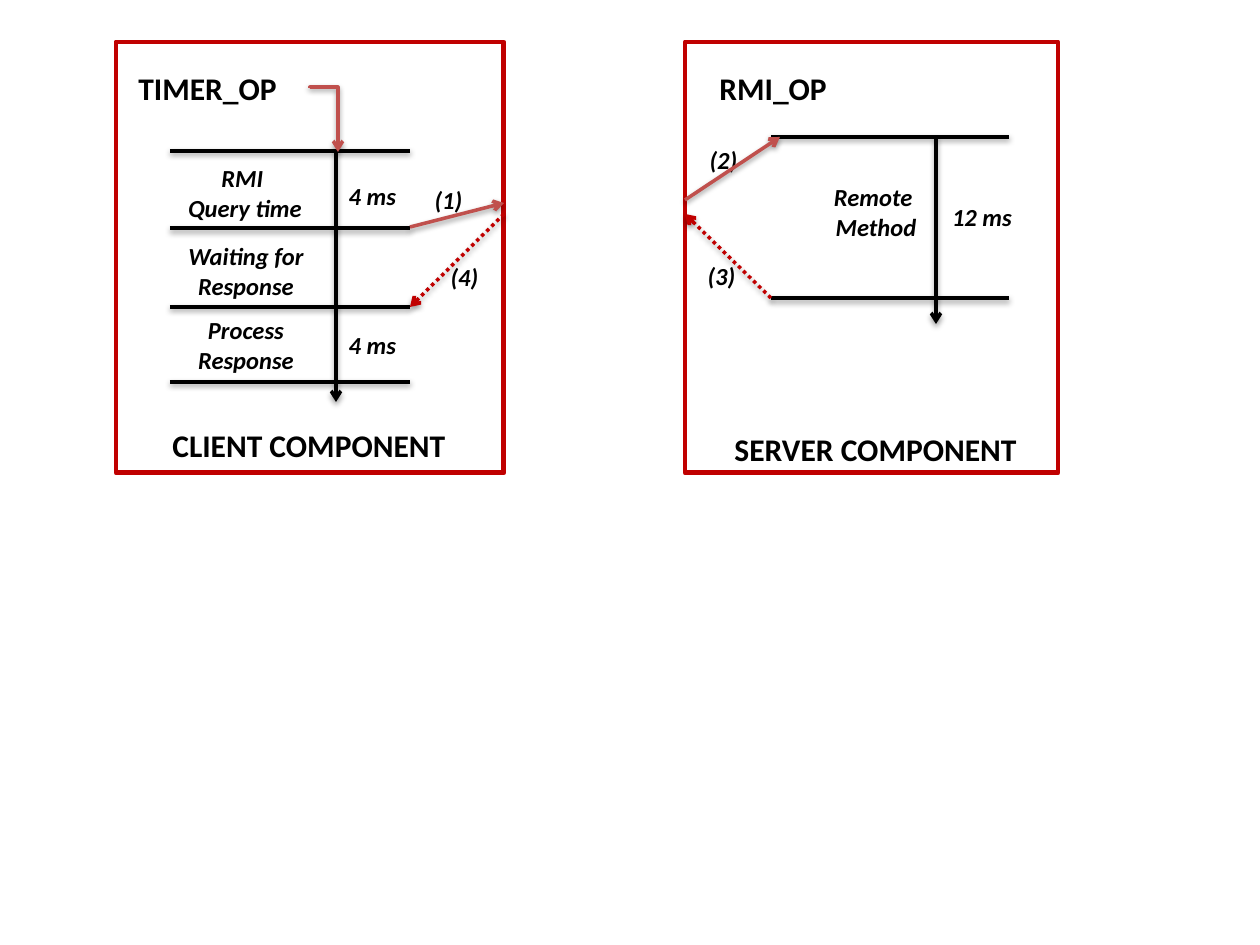
from dataclasses import dataclass

import lxml.etree
import pptx
import pptx.dml.color
import pptx.enum.dml
import pptx.enum.shapes
import pptx.enum.text
import pptx.oxml
import pptx.oxml.ns
import pptx.util
from pptx.slide import Slide

PX_PER_INCH = 126
FONT = "Calibri"
COLORS = {"ink": "000000", "frame": "C00000", "call": "C0504D", "paper": "FFFFFF"}
SHADOW = (
    f"<a:effectLst {pptx.oxml.ns.nsdecls('a')}>"
    '<a:outerShdw blurRad="40000" dist="20000" dir="5400000" rotWithShape="0">'
    '<a:srgbClr val="000000"><a:alpha val="38000"/></a:srgbClr>'
    "</a:outerShdw></a:effectLst>"
)


@dataclass
class Panel:
    left: int
    width: int
    top: int = 42
    height: int = 431


@dataclass
class Label:
    left: int
    top: int
    width: int
    height: int
    lines: tuple[str, ...]
    heading: bool = False


@dataclass
class Stroke:
    start: tuple[int, int]
    end: tuple[int, int]
    color: str = "ink"
    arrow: bool = False
    dotted: bool = False
    elbow: bool = False


CLIENT = Panel(116, 388)
SERVER = Panel(685, 373)
CLIENT_EDGE = CLIENT.left + CLIENT.width
CLIENT_ROWS = (151, 228, 307, 382)
CLIENT_SPAN = (170, 410)
CLIENT_AXIS = 336
SERVER_ROWS = (137, 298)
SERVER_SPAN = (771, 1009)
SERVER_AXIS = 936

LABELS = [
    Label(126, 63, 184, 51, ("TIMER_OP",), True),
    Label(160, 420, 336, 51, ("CLIENT COMPONENT",), True),
    Label(707, 63, 184, 51, ("RMI_OP",), True),
    Label(722, 424, 336, 51, ("SERVER COMPONENT",), True),
    Label(146, 157, 198, 72, ("RMI ", "Query time")),
    Label(154, 235, 184, 72, ("Waiting for Response",)),
    Label(154, 309, 184, 72, ("Process Response",)),
    Label(777, 176, 198, 72, ("Remote ", "Method")),
    Label(336, 175, 73, 43, ("4 ms",)),
    Label(336, 324, 73, 43, ("4 ms",)),
    Label(934, 196, 96, 43, ("12 ms",)),
    Label(412, 179, 73, 43, ("(1)",)),
    Label(687, 139, 73, 43, ("(2)",)),
    Label(685, 255, 73, 43, ("(3)",)),
    Label(428, 256, 73, 43, ("(4)",)),
]

STROKES = [
    *(Stroke((CLIENT_SPAN[0], y), (CLIENT_SPAN[1], y)) for y in CLIENT_ROWS),
    *(Stroke((SERVER_SPAN[0], y), (SERVER_SPAN[1], y)) for y in SERVER_ROWS),
    Stroke((CLIENT_AXIS, CLIENT_ROWS[0]), (CLIENT_AXIS, 402), arrow=True),
    Stroke((SERVER_AXIS, SERVER_ROWS[0]), (SERVER_AXIS, 324), arrow=True),
    Stroke((356, 106), (292, 134), "call", arrow=True, elbow=True),
    Stroke((CLIENT_SPAN[1], 227), (CLIENT_EDGE, 203), "call", arrow=True),
    Stroke((CLIENT_EDGE, 214), (CLIENT_SPAN[1], 307), "frame", arrow=True, dotted=True),
    Stroke((SERVER.left, 200), (780, 137), "call", arrow=True),
    Stroke((SERVER_SPAN[0], 298), (SERVER.left, 214), "frame", arrow=True, dotted=True),
]


def px(length: int) -> pptx.util.Emu:
    return pptx.util.Emu(round(length * 914400 / PX_PER_INCH))


def rgb(name: str) -> pptx.dml.color.RGBColor:
    return pptx.dml.color.RGBColor.from_string(COLORS[name])


def draw_panel(page: Slide, panel: Panel) -> None:
    box = page.shapes.add_shape(
        pptx.enum.shapes.MSO_SHAPE.RECTANGLE,
        px(panel.left), px(panel.top), px(panel.width), px(panel.height),
    )
    box.shadow.inherit = False
    box.fill.solid()
    box.fill.fore_color.rgb = rgb("paper")
    box.line.color.rgb = rgb("frame")
    box.line.width = pptx.util.Pt(2.75)


def draw_label(page: Slide, label: Label) -> None:
    box = page.shapes.add_textbox(
        px(label.left), px(label.top), px(label.width), px(label.height)
    )
    frame = box.text_frame
    frame.word_wrap = True
    frame.auto_size = pptx.enum.text.MSO_AUTO_SIZE.SHAPE_TO_FIT_TEXT
    frame.text = "\n".join(label.lines)
    for para in frame.paragraphs:
        if not label.heading:
            para.alignment = pptx.enum.text.PP_ALIGN.CENTER
        para.font.name = FONT
        para.font.size = pptx.util.Pt(18 if label.heading else 14)
        para.font.bold = True
        para.font.italic = not label.heading
        para.font.color.rgb = rgb("ink")


def turn_elbow(properties: lxml.etree._Element) -> None:
    properties.find(pptx.oxml.ns.qn("a:xfrm")).set("rot", "16200000")
    guides = properties.find(pptx.oxml.ns.qn("a:prstGeom")).get_or_add_avLst()
    guide = lxml.etree.SubElement(guides, pptx.oxml.ns.qn("a:gd"))
    guide.set("name", "adj1")
    guide.set("fmla", "val -1200")


def draw_stroke(page: Slide, stroke: Stroke) -> None:
    kinds = pptx.enum.shapes.MSO_CONNECTOR
    connector = page.shapes.add_connector(
        kinds.ELBOW if stroke.elbow else kinds.STRAIGHT,
        *map(px, stroke.start), *map(px, stroke.end),
    )
    connector.line.color.rgb = rgb(stroke.color)
    connector.line.width = pptx.util.Pt(2)
    if stroke.dotted:
        connector.line.dash_style = pptx.enum.dml.MSO_LINE.ROUND_DOT
    properties = connector._element.spPr
    if stroke.arrow:
        outline = properties.find(pptx.oxml.ns.qn("a:ln"))
        lxml.etree.SubElement(outline, pptx.oxml.ns.qn("a:tailEnd")).set("type", "arrow")
    if stroke.elbow:
        turn_elbow(properties)
    properties.append(pptx.oxml.parse_xml(SHADOW))


def main() -> None:
    deck = pptx.Presentation()
    deck.slide_width = pptx.util.Inches(10)
    deck.slide_height = pptx.util.Inches(7.5)
    page = deck.slides.add_slide(deck.slide_layouts[6])
    for panel in (CLIENT, SERVER):
        draw_panel(page, panel)
    for label in LABELS:
        draw_label(page, label)
    for stroke in STROKES:
        draw_stroke(page, stroke)
    deck.save("out.pptx")


if __name__ == "__main__":
    main()
